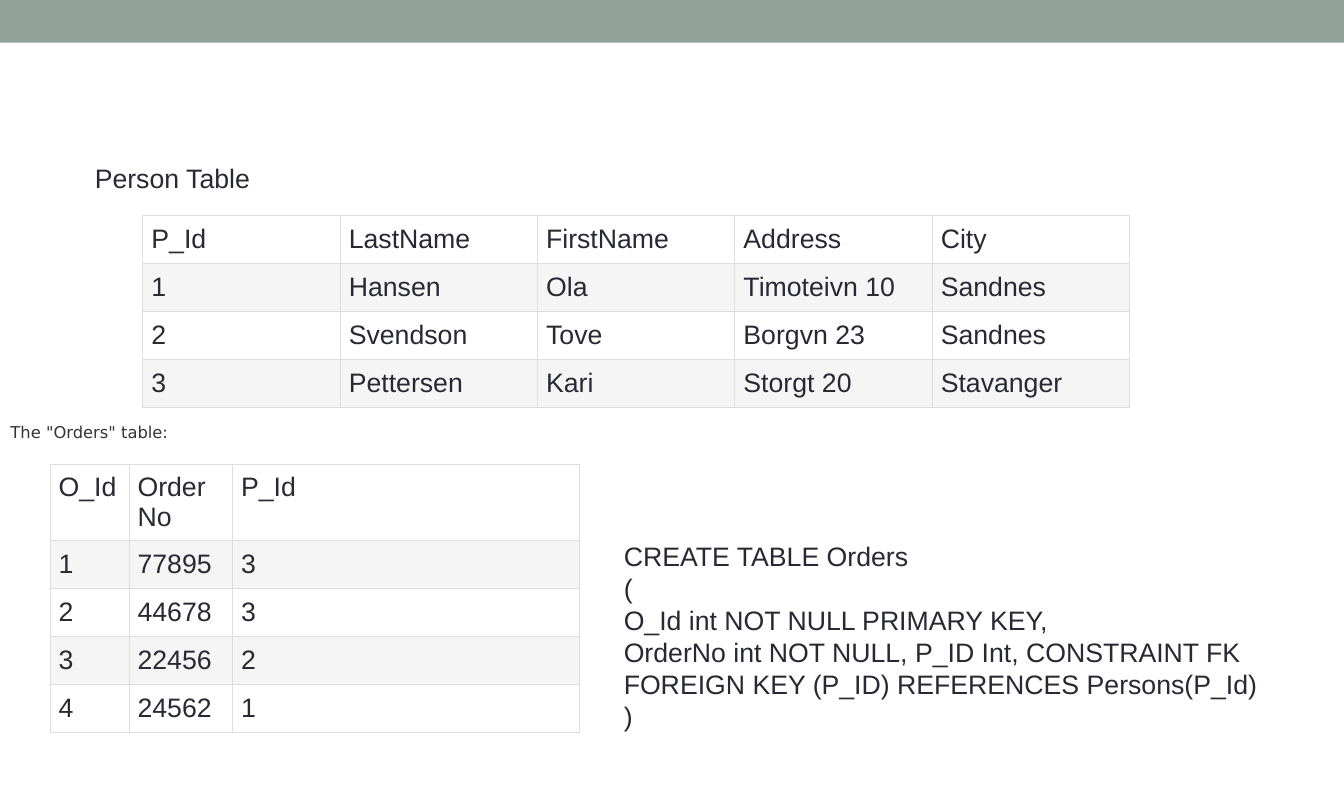
import lxml.etree
import pptx
import pptx.dml.color
import pptx.enum.shapes
import pptx.oxml.ns
import pptx.util

INCH = pptx.util.Inches(1)
INK = "292934"
BORDER = "DDDDDD"
ROW_FILLS = ["FFFFFF", "F5F5F5"]
CELL_INSET = 0.08
ROW_HEIGHT = 0.45


def color(hex_code):
    return pptx.dml.color.RGBColor.from_string(hex_code)


def write(frame, text, size=18, font="Arial", ink=INK, spacing=None):
    """Fill a text frame with one paragraph for each line of text."""
    frame.word_wrap = True
    for index, line in enumerate(text.split("\n")):
        para = frame.paragraphs[0] if index == 0 else frame.add_paragraph()
        if spacing:
            para.line_spacing = pptx.util.Pt(spacing)
        span = para.add_run()
        span.text = line
        span.font.size = pptx.util.Pt(size)
        span.font.name = font
        span.font.color.rgb = color(ink)


deck = pptx.Presentation()
deck.slide_width = int(12.6 * INCH)
deck.slide_height = int(7.5 * INCH)
slide = deck.slides.add_slide(deck.slide_layouts[6])

band = slide.shapes.add_shape(
    pptx.enum.shapes.MSO_SHAPE.RECTANGLE, 0, 0, deck.slide_width, int(0.4 * INCH))
band.shadow.inherit = False
band.fill.solid()
band.fill.fore_color.rgb = color("93A299")
band.line.fill.background()

# Each table: left, top, column widths, header row height, rows
tables = [
    (1.34, 2.02, [1.85] * 5, ROW_HEIGHT, [
        ["P_Id", "LastName", "FirstName", "Address", "City"],
        ["1", "Hansen", "Ola", "Timoteivn 10", "Sandnes"],
        ["2", "Svendson", "Tove", "Borgvn 23", "Sandnes"],
        ["3", "Pettersen", "Kari", "Storgt 20", "Stavanger"],
    ]),
    (0.47, 4.35, [0.74, 0.97, 3.25], 0.72, [
        ["O_Id", "OrderNo", "P_Id"],
        ["1", "77895", "3"],
        ["2", "44678", "3"],
        ["3", "22456", "2"],
        ["4", "24562", "1"],
    ]),
]
for left, top, widths, header_height, rows in tables:
    heights = [header_height] + [ROW_HEIGHT] * (len(rows) - 1)
    area = [int(length * INCH) for length in (left, top, sum(widths), sum(heights))]
    table = slide.shapes.add_table(len(rows), len(widths), *area).table
    table.first_row = False
    table.horz_banding = False
    for column, width in zip(table.columns, widths):
        column.width = int(width * INCH)
    for row_index, values in enumerate(rows):
        table.rows[row_index].height = int(heights[row_index] * INCH)
        for column_index, value in enumerate(values):
            cell = table.cell(row_index, column_index)
            cell.margin_left = cell.margin_right = int(CELL_INSET * INCH)
            cell.margin_top = cell.margin_bottom = int(CELL_INSET * INCH)
            write(cell.text_frame, value)
            cell.fill.solid()
            cell.fill.fore_color.rgb = color(ROW_FILLS[row_index % 2])
            properties = cell._tc.get_or_add_tcPr()
            for position, side in enumerate(["lnL", "lnR", "lnT", "lnB"]):
                edge = lxml.etree.Element(
                    pptx.oxml.ns.qn("a:" + side), w=str(pptx.util.Pt(0.75)))
                paint = lxml.etree.SubElement(edge, pptx.oxml.ns.qn("a:solidFill"))
                lxml.etree.SubElement(paint, pptx.oxml.ns.qn("a:srgbClr"), val=BORDER)
                properties.insert(position, edge)

create_orders = """CREATE TABLE Orders
(
O_Id int NOT NULL PRIMARY KEY,
OrderNo int NOT NULL, P_ID Int, CONSTRAINT FK
FOREIGN KEY (P_ID) REFERENCES Persons(P_Id)
)"""
labels = [
    ((0, 3.91, 2.13, 0.89), 'The "Orders" table:',
     {"size": 11, "font": "DejaVu Sans", "ink": "333333"}),
    ((0.79, 1.47, 2.05, 0.4), "Person Table", {"spacing": 21.6}),
    ((5.75, 5.01, 6.3, 1.92), create_orders, {"spacing": 21.6}),
]
for area, text, text_format in labels:
    box = slide.shapes.add_textbox(*[int(length * INCH) for length in area])
    write(box.text_frame, text, **text_format)

deck.save("out.pptx")
